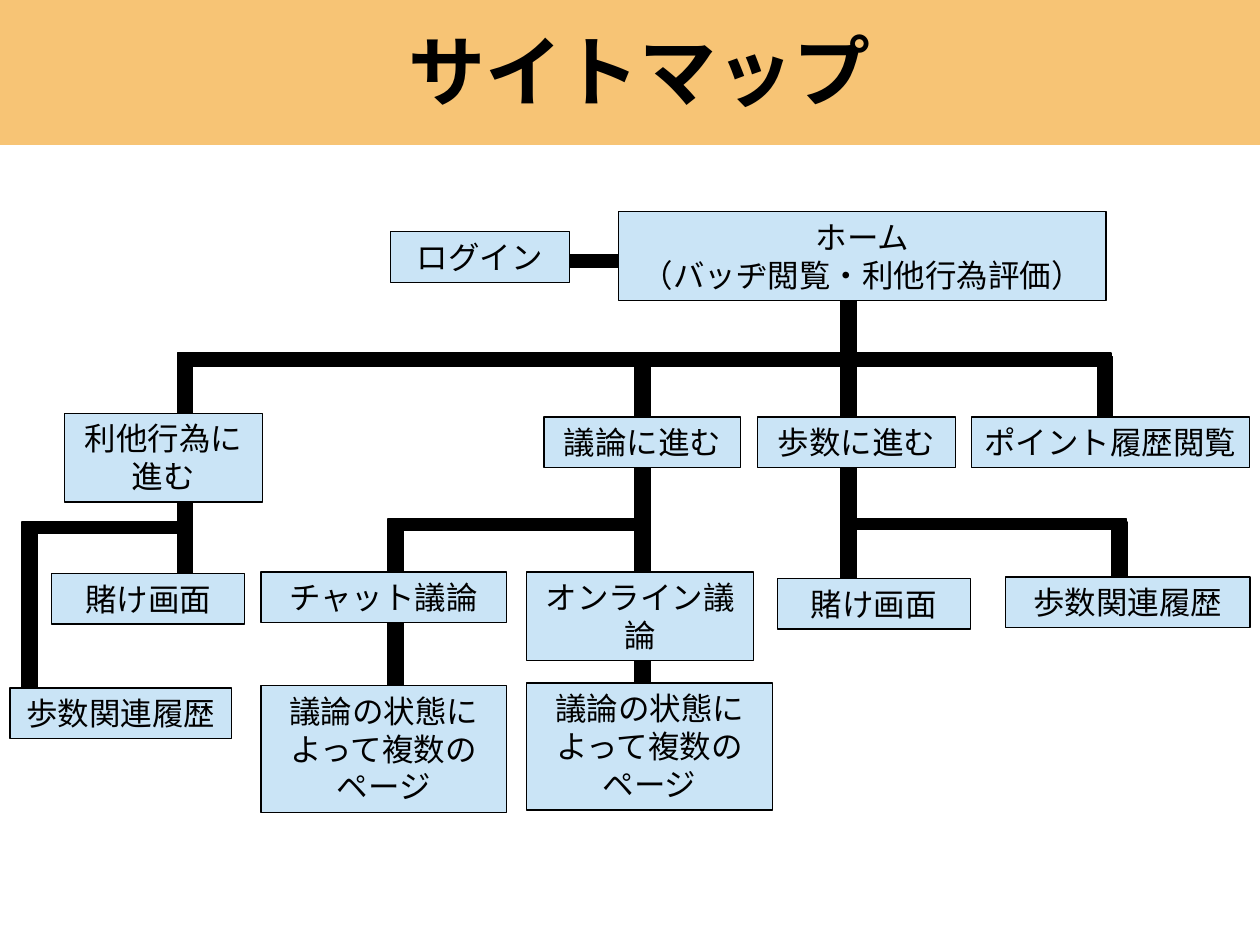
from dataclasses import dataclass

from pptx import Presentation
from pptx import util as u
from pptx.dml.color import RGBColor
from pptx.enum import shapes, text


@dataclass(frozen=True)
class Theme:
    font: str = "Calibri"
    banner: RGBColor = RGBColor(0xF7, 0xC4, 0x75)
    page: RGBColor = RGBColor(0xCA, 0xE4, 0xF6)
    ink: RGBColor = RGBColor(0, 0, 0)
    title_size: u.Pt = u.Pt(44)
    page_size: u.Pt = u.Pt(18)
    page_line: u.Pt = u.Pt(0.75)
    path_line: u.Pt = u.Pt(1)


theme = Theme()
deck = Presentation()
deck.slide_width, deck.slide_height = u.Cm(25.4), u.Cm(19.05)
slide = deck.slides.add_slide(deck.slide_layouts[5])


def add_rect(left, top, width, height, fill, line_width):
    rect = slide.shapes.add_shape(
        shapes.MSO_SHAPE.RECTANGLE, u.Cm(left), u.Cm(top), u.Cm(width), u.Cm(height))
    rect.shadow.inherit = False
    rect.fill.solid()
    rect.fill.fore_color.rgb = fill
    rect.line.color.rgb = theme.ink
    rect.line.width = line_width
    return rect


def style_text(frame, size, bold=False):
    frame.word_wrap = True
    for paragraph in frame.paragraphs:
        paragraph.alignment = text.PP_ALIGN.CENTER
        paragraph.font.name = theme.font
        paragraph.font.size = size
        paragraph.font.bold = bold
        paragraph.font.color.rgb = theme.ink


# Title banner, with its text slightly right of and above the centre
title = slide.shapes.title
title.left, title.top, title.width, title.height = u.Cm(0), u.Cm(0), u.Cm(25.4), u.Cm(2.92)
title.fill.solid()
title.fill.fore_color.rgb = theme.banner
title.text_frame.text = "サイトマップ"
title.text_frame.auto_size = text.MSO_AUTO_SIZE.NONE
title.text_frame.vertical_anchor = text.MSO_ANCHOR.MIDDLE
title.text_frame.margin_left = u.Cm(0.66)
title.text_frame.margin_bottom = u.Cm(0.23)
style_text(title.text_frame, theme.title_size, bold=True)

# Horizontal paths: left, top, width, thickness
branches = [
    (11.23, 5.13, 1.42, 0.25),   # login to home
    (3.58, 7.11, 18.82, 0.28),   # home to the four sections
    (7.82, 10.46, 5.0, 0.23),    # discussion
    (17.12, 10.46, 5.59, 0.2),   # steps
    (0.56, 10.52, 3.28, 0.23),   # altruistic acts
]
for branch in branches:
    add_rect(*branch, theme.ink, theme.path_line)

# Vertical paths: centre, top, length
STEM_WIDTH = 0.3
stems = [
    (17.11, 5.96, 6.48),    # home, steps, betting
    (12.95, 7.16, 6.91),    # discussion, online
    (7.98, 10.49, 3.51),    # chat
    (22.28, 7.19, 1.27),    # point history
    (22.57, 10.53, 1.5),    # step history
    (3.73, 7.21, 5.23),     # altruistic acts, betting
    (0.6, 10.53, 4.19),     # step history under altruistic acts
]
for centre, top, length in stems:
    add_rect(centre - STEM_WIDTH / 2, top, STEM_WIDTH, length, theme.ink, theme.path_line)

# Pages: label, left, top, width, number of text lines
pages = [
    ("ログイン", 7.87, 4.67, 3.61, 1),
    ("ホーム\n（バッヂ閲覧・利他行為評価）", 12.47, 4.27, 9.83, 2),
    ("利他行為に進む", 1.3, 8.33, 3.99, 2),
    ("議論に進む", 10.97, 8.41, 3.96, 1),
    ("歩数に進む", 15.27, 8.41, 3.99, 1),
    ("ポイント履歴閲覧", 19.58, 8.41, 5.61, 1),
    ("賭け画面", 1.04, 11.56, 3.89, 1),
    ("チャット議論", 5.26, 11.53, 4.95, 1),
    ("オンライン議論", 10.62, 11.53, 4.57, 2),
    ("賭け画面", 15.67, 11.66, 3.89, 1),
    ("歩数関連履歴", 20.27, 11.63, 4.93, 1),
    ("歩数関連履歴", 0.2, 13.87, 4.47, 1),
    ("議論の状態によって複数のページ", 5.26, 13.82, 4.95, 3),
    ("議論の状態によって複数のページ", 10.62, 13.77, 4.95, 3),
]
for label, left, top, width, line_count in pages:
    height = 0.25 + 0.77 * line_count
    page = add_rect(left, top, width, height, theme.page, theme.page_line)
    page.text_frame.text = label
    page.text_frame.vertical_anchor = text.MSO_ANCHOR.TOP
    page.text_frame.auto_size = text.MSO_AUTO_SIZE.SHAPE_TO_FIT_TEXT
    style_text(page.text_frame, theme.page_size)

deck.save("out.pptx")
